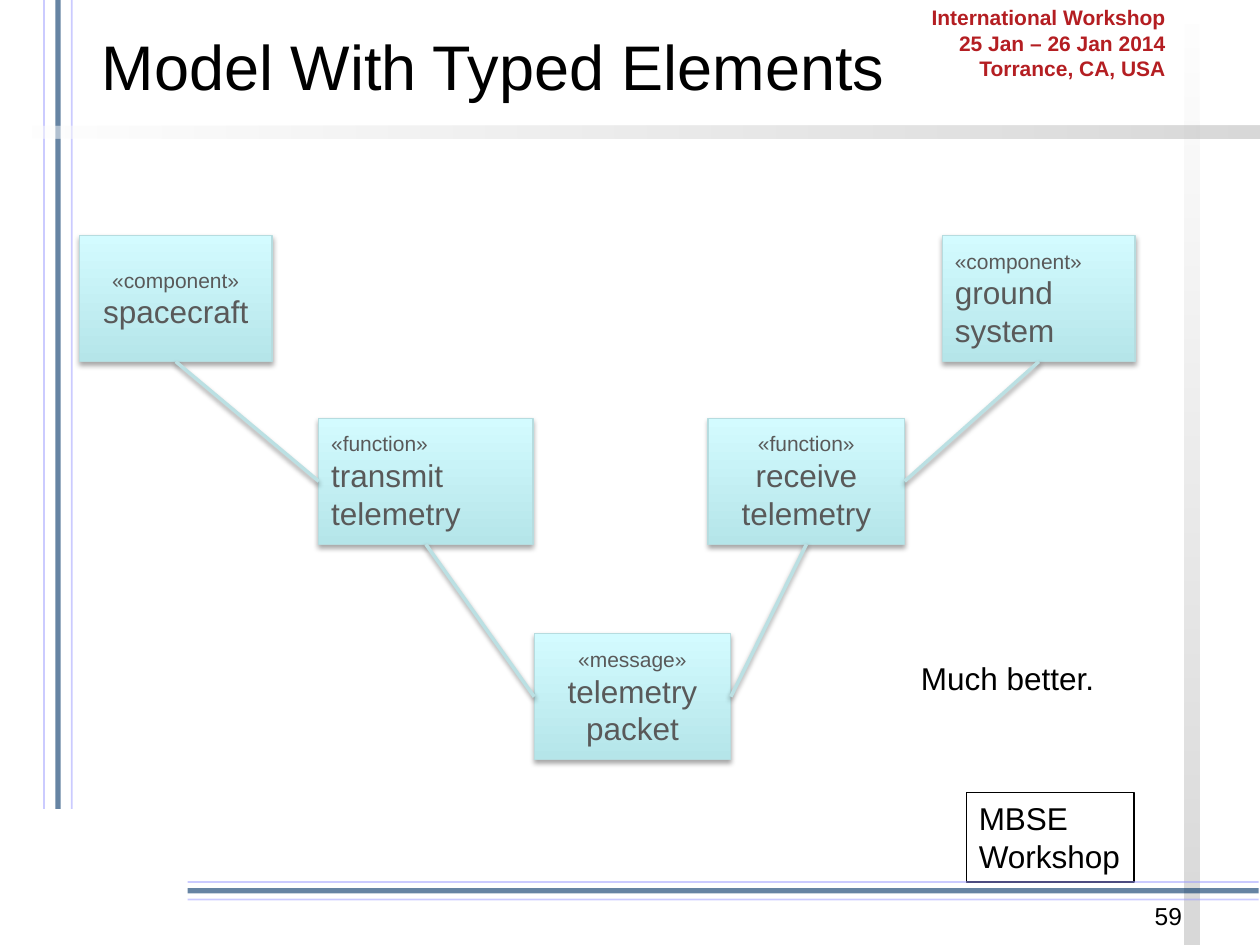
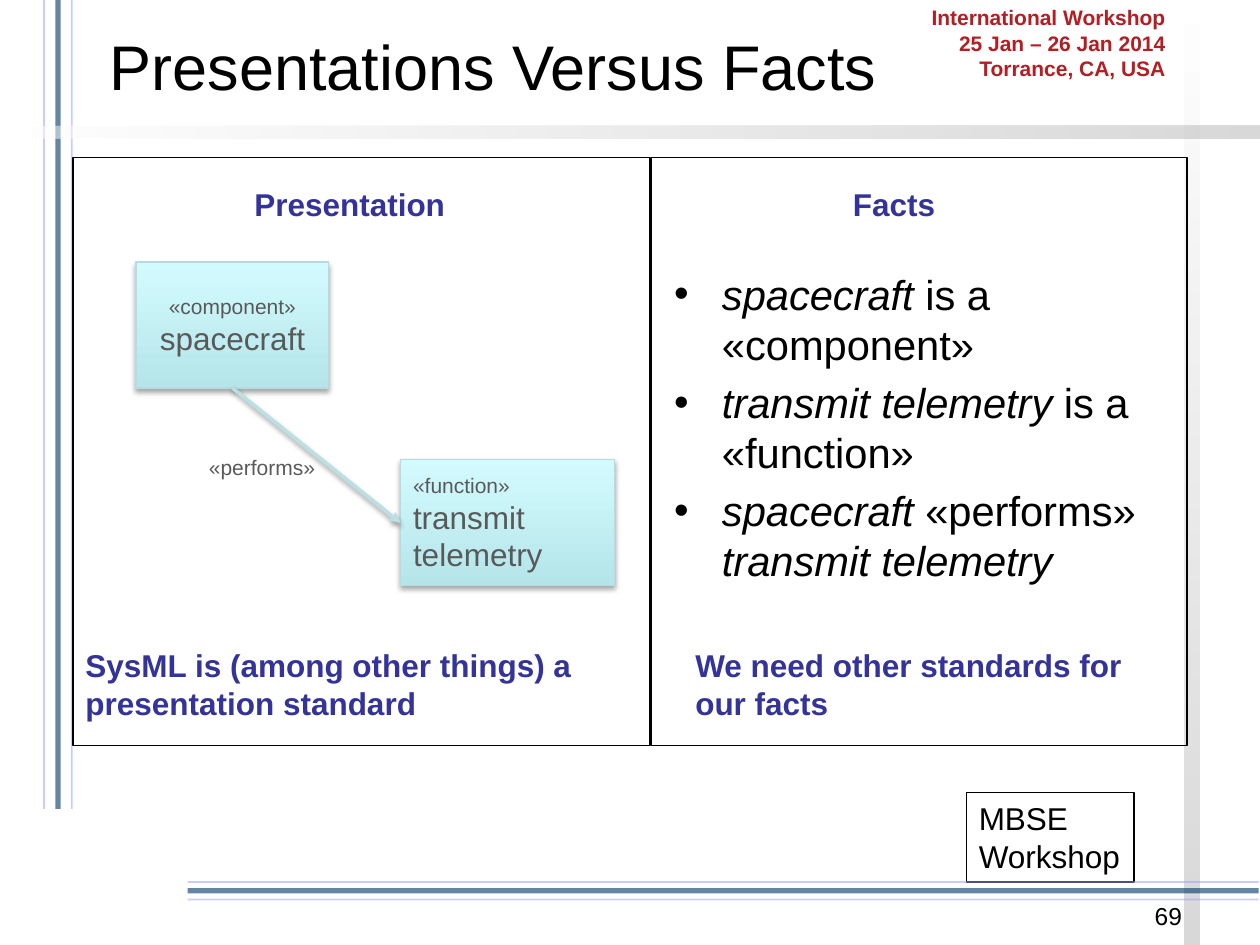
from lxml import etree
from pptx import Presentation
from pptx.dml.color import RGBColor
from pptx.enum.shapes import MSO_CONNECTOR, MSO_SHAPE
from pptx.enum.text import MSO_ANCHOR, MSO_AUTO_SIZE, PP_ALIGN
from pptx.oxml.ns import qn
from pptx.util import Inches, Pt

RECTANGLE = MSO_SHAPE.RECTANGLE
STRAIGHT = MSO_CONNECTOR.STRAIGHT
LEFT, CENTER, RIGHT = PP_ALIGN.LEFT, PP_ALIGN.CENTER, PP_ALIGN.RIGHT
MIDDLE = MSO_ANCHOR.MIDDLE
FIT_SHAPE, NO_FIT = MSO_AUTO_SIZE.SHAPE_TO_FIT_TEXT, MSO_AUTO_SIZE.NONE
BOTTOM_SIDE, LEFT_SIDE, RIGHT_SIDE = 2, 1, 3
TITLE_AND_CONTENT, TITLE_ONLY = 1, 5

FONT = "Arial"
BLACK = "000000"
EVENT_RED = "B41E22"
HEADING_BLUE = "333399"
NODE_TEXT = "595959"
NODE_EDGE = "B6DCDF"
NODE_GRADIENT = ("B5E5E9", "D3FBFF")
BAND_GRADIENT = ("FFFFFF", "B2B2B2")
LINK = "BBE0E3"
THIN_RULE = ("9999FF", 1, 50)
THICK_RULE = ("003366", 3, 60)


def rgb(color):
    return RGBColor.from_string(color)


def inches(*lengths):
    return [Inches(length) for length in lengths]


def style_runs(paragraph, size, color, bold=False):
    for run in paragraph.runs:
        run.font.name = FONT
        run.font.size = Pt(size)
        run.font.bold = bold
        run.font.color.rgb = rgb(color)


def make_translucent(shape, opacity):
    for color in shape._element.spPr.iter(qn("a:srgbClr")):
        etree.SubElement(color, qn("a:alpha"), val=str(opacity * 1000))


def set_shadow(shape, opacity=0, distance=0):
    """Replace the theme shadow by none, or by a soft one falling downwards."""
    properties = shape._element.spPr
    effects = properties.find(qn("a:effectLst"))
    if effects is None:
        effects = etree.SubElement(properties, qn("a:effectLst"))
    if opacity:
        shadow = etree.SubElement(
            effects, qn("a:outerShdw"), blurRad=str(Pt(3.1)),
            dist=str(Pt(distance)), dir="5400000", rotWithShape="0")
        color = etree.SubElement(shadow, qn("a:srgbClr"), val=BLACK)
        etree.SubElement(color, qn("a:alpha"), val=str(opacity * 1000))


def fill_gradient(shape, colors, angle):
    shape.fill.gradient()
    shape.fill.gradient_angle = angle
    for stop, color in zip(shape.fill.gradient_stops, colors):
        stop.color.rgb = rgb(color)


def add_rectangle(slide, place):
    rectangle = slide.shapes.add_shape(RECTANGLE, *inches(*place))
    rectangle.shadow.inherit = False
    return rectangle


def add_outline(slide, place):
    outline = add_rectangle(slide, place)
    outline.fill.background()
    outline.line.color.rgb = rgb(BLACK)
    outline.line.width = Pt(0.75)


def add_band(slide, place, rotation=0):
    band = add_rectangle(slide, place)
    band.rotation = rotation
    fill_gradient(band, BAND_GRADIENT, 0)
    make_translucent(band, 50)
    band.line.fill.background()


def add_line(slide, ends, color, width):
    line = slide.shapes.add_connector(STRAIGHT, *inches(*ends))
    line.line.color.rgb = rgb(color)
    line.line.width = Pt(width)
    return line


def add_rule(slide, ends, rule):
    color, width, opacity = rule
    line = add_line(slide, ends, color, width)
    make_translucent(line, opacity)
    set_shadow(line)


def add_text(slide, place, text, size=18, color=BLACK, bold=False,
             align=LEFT, wrap=False, fit=FIT_SHAPE):
    frame = slide.shapes.add_textbox(*inches(*place)).text_frame
    frame.word_wrap = wrap
    frame.auto_size = fit
    frame.text = text
    for paragraph in frame.paragraphs:
        paragraph.alignment = align
        style_runs(paragraph, size, color, bold)


def add_heading(slide, place, text, wrap=False):
    add_text(slide, place, text, color=HEADING_BLUE, bold=True, wrap=wrap)


def add_node(slide, place, stereotype, name, align=CENTER):
    node = add_rectangle(slide, place)
    fill_gradient(node, NODE_GRADIENT, 90)
    node.line.color.rgb = rgb(NODE_EDGE)
    node.line.width = Pt(0.75)
    set_shadow(node, 35, 1.8)
    frame = node.text_frame
    frame.word_wrap = True
    frame.vertical_anchor = MIDDLE
    paragraph = frame.paragraphs[0]
    paragraph.text = f"«{stereotype}»\v{name}"
    paragraph.alignment = align
    style_runs(paragraph, 18, NODE_TEXT)
    paragraph.runs[0].font.size = Pt(12)
    line_break = paragraph._p.find(qn("a:br"))
    etree.SubElement(line_break, qn("a:rPr"), sz="1200")
    return node


def link(slide, upper, lower, lower_side, arrow=False):
    """Join the bottom of the upper node to a side of the lower one."""
    line = add_line(slide, (0, 0, 1, 1), LINK, 2)
    line.begin_connect(upper, BOTTOM_SIDE)
    line.end_connect(lower, lower_side)
    if arrow:
        outline = line._element.spPr.find(qn("a:ln"))
        etree.SubElement(outline, qn("a:tailEnd"), type="triangle")
    set_shadow(line, 38, 1.6)


def add_facts(slide, place, facts):
    """Fill the body placeholder; each fact is a list of (text, italic)."""
    body = slide.placeholders[1]
    body.left, body.top, body.width, body.height = inches(*place)
    frame = body.text_frame
    frame.auto_size = NO_FIT
    for index, fact in enumerate(facts):
        paragraph = frame.add_paragraph() if index else frame.paragraphs[0]
        for text, italic in fact:
            run = paragraph.add_run()
            run.text = text
            run.font.italic = italic
        style_runs(paragraph, 23.8, BLACK)
        paragraph.space_before = Pt(4.8)
        properties = paragraph._p.get_or_add_pPr()
        properties.set("marL", str(Inches(0.38)))
        properties.set("indent", str(Inches(-0.38)))
        etree.SubElement(properties, qn("a:buFont"), typeface=FONT)
        etree.SubElement(properties, qn("a:buChar"), char="•")


def add_workshop_slide(deck, layout, title_text, page):
    """Start a slide with the bands, rules, labels and title all slides share."""
    slide = deck.slides.add_slide(deck.slide_layouts[layout])
    workshop_box = (7.67, 6.29, 1.33, 0.71)
    add_outline(slide, workshop_box)
    add_band(slide, (5.71, 3.69, 7.5, 0.12), rotation=90)
    for x, rule in ((0.35, THIN_RULE), (0.57, THIN_RULE), (0.46, THICK_RULE)):
        add_rule(slide, (x, 0, x, 6.42), rule)
    for y, rule in ((7.14, THIN_RULE), (7.07, THICK_RULE), (7, THIN_RULE)):
        add_rule(slide, (9.99, y, 1.49, y), rule)
    add_band(slide, (0, 1, 10.01, 0.1))
    add_text(slide, (7.23, -0.01, 2.12, 0.71),
             "International Workshop\n25 Jan – 26 Jan 2014\nTorrance, CA, USA",
             12, EVENT_RED, bold=True, align=RIGHT)
    add_text(slide, workshop_box, "MBSE \vWorkshop")
    add_text(slide, (7.15, 7.1, 2.33, 0.4), page, 14, align=RIGHT,
             wrap=True, fit=NO_FIT)

    title = slide.shapes.title
    title.left, title.top, title.width, title.height = inches(0.5, 0, 6.83, 1.04)
    frame = title.text_frame
    frame.text = title_text
    frame.auto_size = NO_FIT
    frame.vertical_anchor = MIDDLE
    frame.paragraphs[0].alignment = CENTER
    style_runs(frame.paragraphs[0], 36, BLACK)
    return slide


def build_typed_model(deck):
    slide = add_workshop_slide(deck, TITLE_ONLY, "Model With Typed Elements", "59")
    spacecraft = add_node(slide, (0.63, 1.87, 1.53, 1), "component", "spacecraft")
    transmit = add_node(slide, (2.53, 3.32, 1.7, 1), "function",
                        "transmit telemetry", LEFT)
    receive = add_node(slide, (5.62, 3.32, 1.56, 1), "function", "receive telemetry")
    packet = add_node(slide, (4.24, 5.03, 1.56, 1), "message", "telemetry packet")
    ground = add_node(slide, (7.48, 1.87, 1.53, 1), "component",
                      "ground system", LEFT)
    link(slide, spacecraft, transmit, LEFT_SIDE)
    link(slide, transmit, packet, LEFT_SIDE)
    link(slide, receive, packet, RIGHT_SIDE)
    link(slide, ground, receive, RIGHT_SIDE)
    add_text(slide, (7.21, 5.18, 1.59, 0.4), "Much better.")


def build_presentation_versus_facts(deck):
    slide = add_workshop_slide(deck, TITLE_AND_CONTENT,
                               "Presentations Versus Facts", "69")
    add_facts(slide, (5.25, 2.08, 3.98, 2.3), [
        [("spacecraft ", True), ("is a «component»", False)],
        [("transmit telemetry ", True), ("is a «function»", False)],
        [("spacecraft ", True), ("«performs» ", False),
         ("transmit telemetry", True)],
    ])
    spacecraft = add_node(slide, (1.08, 2.08, 1.53, 1), "component", "spacecraft")
    transmit = add_node(slide, (3.18, 3.65, 1.7, 1), "function",
                        "transmit telemetry", LEFT)
    link(slide, spacecraft, transmit, LEFT_SIDE, arrow=True)
    add_text(slide, (1.56, 3.56, 1.05, 0.3), "«performs»", 12, NODE_TEXT)

    add_heading(slide, (1.92, 1.42, 2.02, 0.4), "Presentation")
    add_heading(slide, (6.67, 1.42, 0.95, 0.4), "Facts")
    add_heading(slide, (0.58, 5.08, 4.58, 0.71),
                "SysML is (among other things) a presentation standard", wrap=True)
    add_heading(slide, (5.42, 5.08, 3.92, 0.71),
                "We need other standards for our facts", wrap=True)
    for left, width in ((0.58, 4.58), (5.17, 4.25)):
        add_outline(slide, (left, 1.25, width, 4.67))


def main():
    deck = Presentation()
    deck.slide_width, deck.slide_height = inches(10, 7.5)
    build_typed_model(deck)
    build_presentation_versus_facts(deck)
    deck.save("out.pptx")


if __name__ == "__main__":
    main()
